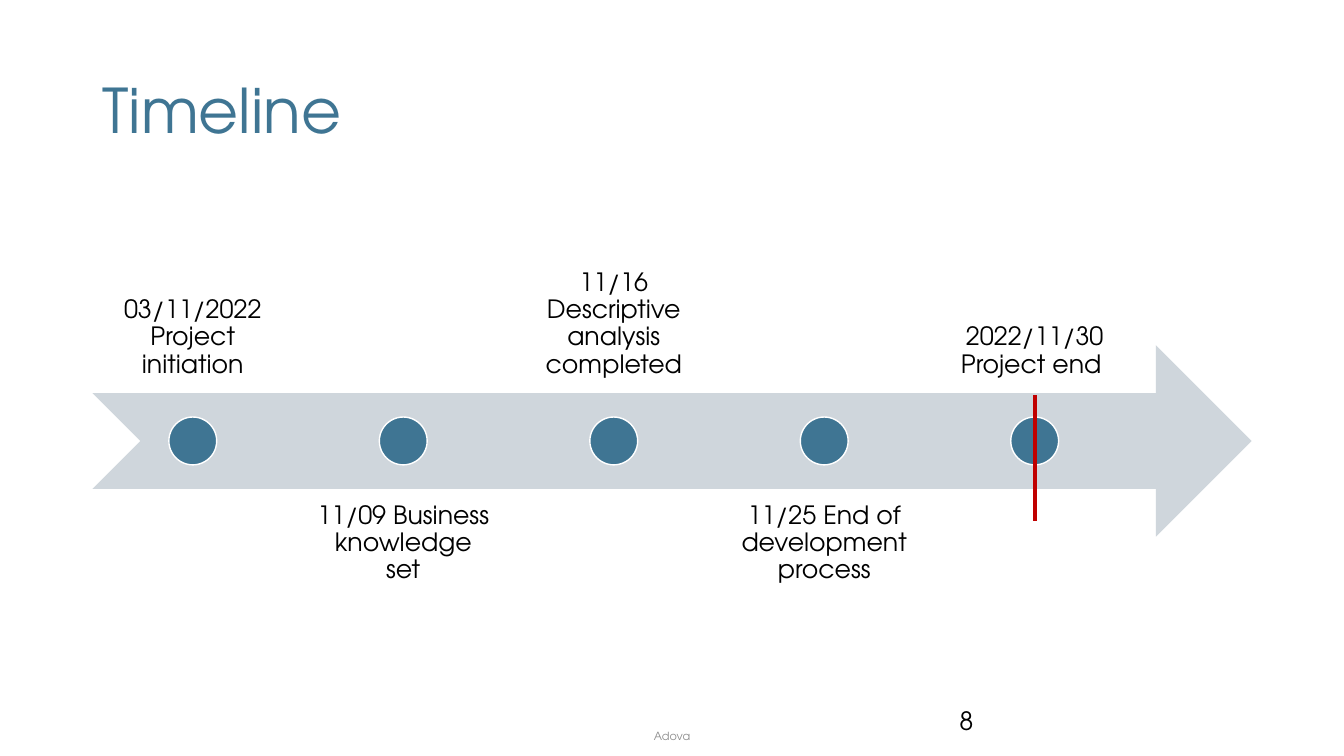
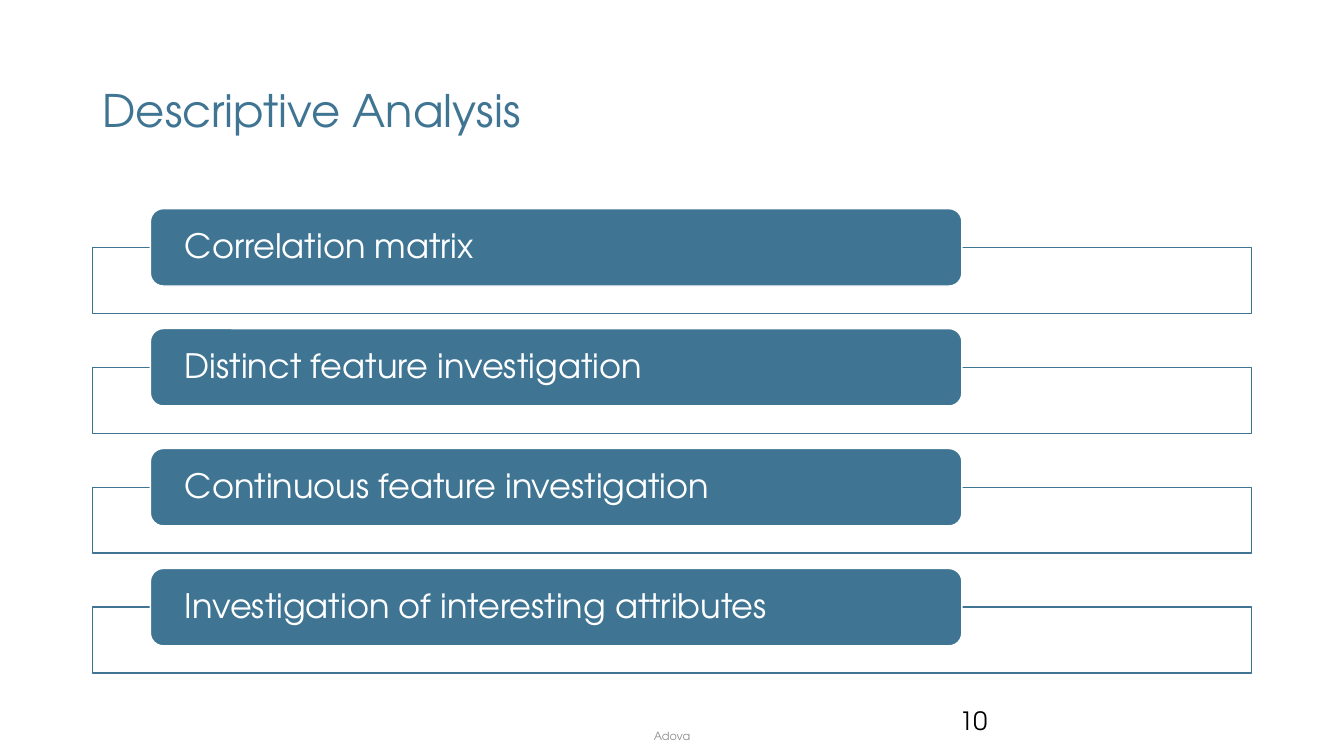
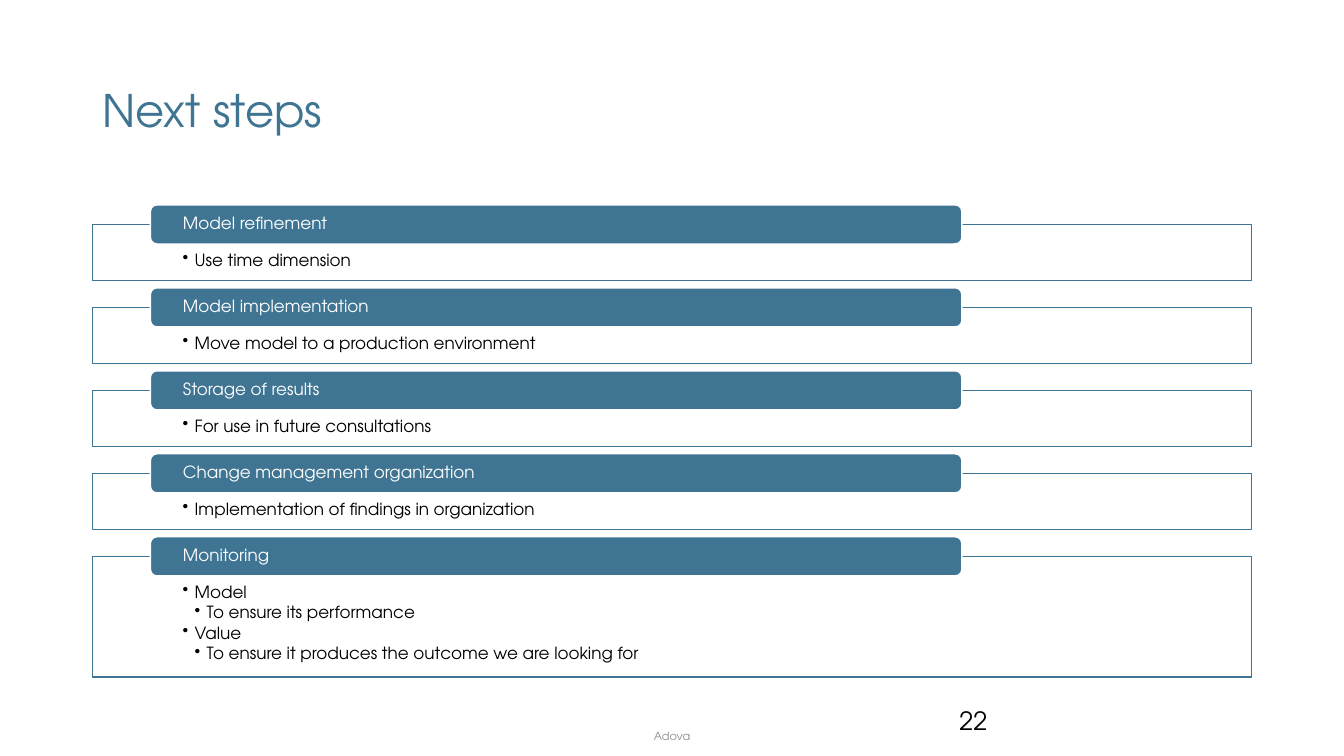
"""Build three project slides: a timeline, an analysis outline and the next steps."""
from dataclasses import dataclass

import pptx
import pptx.dml.color
import pptx.enum.shapes
import pptx.enum.text
import pptx.oxml.ns
import pptx.util
from lxml import etree
from pptx.presentation import Presentation
from pptx.shapes.autoshape import Shape
from pptx.slide import Slide

SHAPES = pptx.enum.shapes.MSO_SHAPE
ALIGN = pptx.enum.text.PP_ALIGN
ANCHOR = pptx.enum.text.MSO_ANCHOR

SLIDE_WIDTH = pptx.util.Inches(13.33)
SLIDE_HEIGHT = pptx.util.Inches(7.5)
GRID = 100

FONT = "TeX Gyre Adventor"
TEAL, PALE, WHITE, BLACK = "3F7593", "CFD6DC", "FFFFFF", "000000"
RED, GREY = "C00000", "8C8C8C"
FOOTER = "Adova"

LEFT, WIDTH = 6.88, 86.25
TAB_INDENT, TAB_SHARE = 0.05, 0.7
BULLET_STEP = pptx.util.Inches(0.12)


@dataclass(frozen=True)
class Area:
    left: float
    top: float
    width: float
    height: float

    def emu(self) -> tuple[int, int, int, int]:
        return columns(self.left), rows(self.top), columns(self.width), rows(self.height)


@dataclass(frozen=True)
class Insets:
    left: float = 0.75
    top: float = 0.67
    right: float = 0.75
    bottom: float = 0.67


@dataclass(frozen=True)
class Style:
    size: float
    color: str = BLACK
    align: ALIGN = ALIGN.LEFT
    anchor: ANCHOR = ANCHOR.TOP
    insets: Insets = Insets()
    spacing: float = 0.9
    after: float = 0


@dataclass(frozen=True)
class Line:
    text: str
    depth: int = 0


@dataclass(frozen=True)
class Section:
    heading: str
    points: tuple[Line, ...] = ()
    height: float = 7.44


@dataclass(frozen=True)
class Outline:
    top: float
    tab_height: float
    gap: float
    size: float


def columns(count: float) -> int:
    return round(SLIDE_WIDTH * count / GRID)


def rows(count: float) -> int:
    return round(SLIDE_HEIGHT * count / GRID)


def rgb(color: str) -> pptx.dml.color.RGBColor:
    return pptx.dml.color.RGBColor.from_string(color)


def write(holder: Shape, lines: tuple[Line, ...], style: Style) -> None:
    frame = holder.text_frame
    frame.word_wrap = True
    frame.auto_size = pptx.enum.text.MSO_AUTO_SIZE.NONE
    frame.vertical_anchor = style.anchor
    frame.margin_left = columns(style.insets.left)
    frame.margin_right = columns(style.insets.right)
    frame.margin_top = rows(style.insets.top)
    frame.margin_bottom = rows(style.insets.bottom)
    for index, line in enumerate(lines):
        paragraph = frame.add_paragraph() if index else frame.paragraphs[0]
        paragraph.text = line.text
        paragraph.alignment = style.align
        paragraph.line_spacing = style.spacing
        paragraph.space_after = pptx.util.Pt(style.after)
        if line.depth:
            paragraph.level = line.depth
            properties = paragraph._p.get_or_add_pPr()
            properties.set("marL", str(BULLET_STEP * line.depth))
            properties.set("indent", str(-BULLET_STEP))
            bullet = etree.SubElement(properties, pptx.oxml.ns.qn("a:buChar"))
            bullet.set("char", "•")
        paragraph.font.name = FONT
        paragraph.font.size = pptx.util.Pt(style.size)
        paragraph.font.color.rgb = rgb(style.color)


def add_text(slide: Slide, text: str, area: Area, style: Style) -> None:
    write(slide.shapes.add_textbox(*area.emu()), (Line(text),), style)


def add_block(slide: Slide, kind: SHAPES, area: Area, fill: str, outline: str = "") -> Shape:
    block = slide.shapes.add_shape(kind, *area.emu())
    block.shadow.inherit = False
    block.fill.solid()
    block.fill.fore_color.rgb = rgb(fill)
    if outline:
        block.line.color.rgb = rgb(outline)
        block.line.width = pptx.util.Pt(1)
    else:
        block.line.fill.background()
    return block


def add_page(deck: Presentation, title: str, title_size: float, number: int) -> Slide:
    slide = deck.slides.add_slide(deck.slide_layouts[5])
    heading = slide.shapes.title
    heading.left, heading.top, heading.width, heading.height = Area(LEFT, 5.33, WIDTH, 19.33).emu()
    write(heading, (Line(title),), Style(title_size, TEAL, anchor=ANCHOR.MIDDLE))
    add_text(slide, FOOTER, Area(33.13, 94.67, 33.75, 5.33),
             Style(8, GREY, ALIGN.CENTER, ANCHOR.MIDDLE, spacing=1))
    add_text(slide, str(number), Area(70.63, 92.67, 22.5, 5.33), Style(18, spacing=1))
    return slide


def add_timeline(slide: Slide, milestones: tuple[str, ...]) -> None:
    axis, band, pitch, label_width = 58.33, 25.33, 15.66, 14.93
    dot_width, dot_height = 3.56, 6.33
    add_block(slide, SHAPES.NOTCHED_RIGHT_ARROW, Area(LEFT, axis - band / 2, WIDTH, band), PALE)
    for index, milestone in enumerate(milestones):
        left = LEFT + index * pitch
        center = left + label_width / 2
        below = index % 2 == 1
        add_text(slide, milestone, Area(left, 64.62 if below else 26.62, label_width, band),
                 Style(18, align=ALIGN.CENTER, anchor=ANCHOR.TOP if below else ANCHOR.BOTTOM,
                       insets=Insets(1.05, 1.87, 1.05, 1.87)))
        add_block(slide, SHAPES.OVAL,
                  Area(center - dot_width / 2, axis - dot_height / 2, dot_width, dot_height),
                  TEAL, WHITE)
    today = slide.shapes.add_connector(pptx.enum.shapes.MSO_CONNECTOR.STRAIGHT,
                                       columns(center), rows(52.27), columns(center), rows(68.93))
    today.line.color.rgb = rgb(RED)
    today.line.width = pptx.util.Pt(3)
    etree.SubElement(today._element.spPr, pptx.oxml.ns.qn("a:effectLst"))


def add_outline(slide: Slide, outline: Outline, sections: tuple[Section, ...]) -> None:
    tab_style = Style(outline.size, WHITE, anchor=ANCHOR.MIDDLE, insets=Insets(2.28, 0, 2.28, 0))
    point_style = Style(outline.size, insets=Insets(6.7, 3.6, 6.7, 1.2),
                        after=0.15 * outline.size)
    top = outline.top
    for section in sections:
        panel_top = top + outline.tab_height / 2
        panel = add_block(slide, SHAPES.RECTANGLE,
                          Area(LEFT, panel_top, WIDTH, section.height), WHITE, TEAL)
        if section.points:
            write(panel, section.points, point_style)
        tab = add_block(slide, SHAPES.ROUNDED_RECTANGLE,
                        Area(LEFT + WIDTH * TAB_INDENT, top, WIDTH * TAB_SHARE, outline.tab_height),
                        TEAL, WHITE)
        write(tab, (Line(section.heading),), tab_style)
        top = panel_top + section.height + outline.gap


MILESTONES = (
    "03/11/2022 Project initiation",
    "11/09 Business knowledge set",
    "11/16 Descriptive analysis completed",
    "11/25 End of development process",
    "2022/11/30 Project end ",
)
ANALYSES = (
    "Correlation matrix",
    "Distinct feature investigation",
    "Continuous feature investigation",
    "Investigation of interesting attributes",
)
NEXT_STEPS = (
    Section("Model refinement", (Line("Use time dimension", 1),)),
    Section("Model implementation", (Line("Move model to a production environment", 1),)),
    Section("Storage of results", (Line("For use in future consultations", 1),)),
    Section("Change management organization",
            (Line("Implementation of findings in organization", 1),)),
    Section("Monitoring",
            (Line("Model", 1),
             Line("To ensure its performance", 2),
             Line("Value", 1),
             Line("To ensure it produces the outcome we are looking for", 2)),
            height=15.96),
)


def main() -> None:
    deck = pptx.Presentation()
    deck.slide_width, deck.slide_height = SLIDE_WIDTH, SLIDE_HEIGHT
    add_timeline(add_page(deck, "Timeline", 44, 8), MILESTONES)
    add_outline(add_page(deck, "Descriptive Analysis", 32, 10),
                Outline(top=27.6, tab_height=10.23, gap=2.02, size=24),
                tuple(Section(analysis, height=8.73) for analysis in ANALYSES))
    add_outline(add_page(deck, "Next steps", 32, 22),
                Outline(top=27.1, tab_height=5.17, gap=0.95, size=12), NEXT_STEPS)
    deck.save("out.pptx")


if __name__ == "__main__":
    main()
